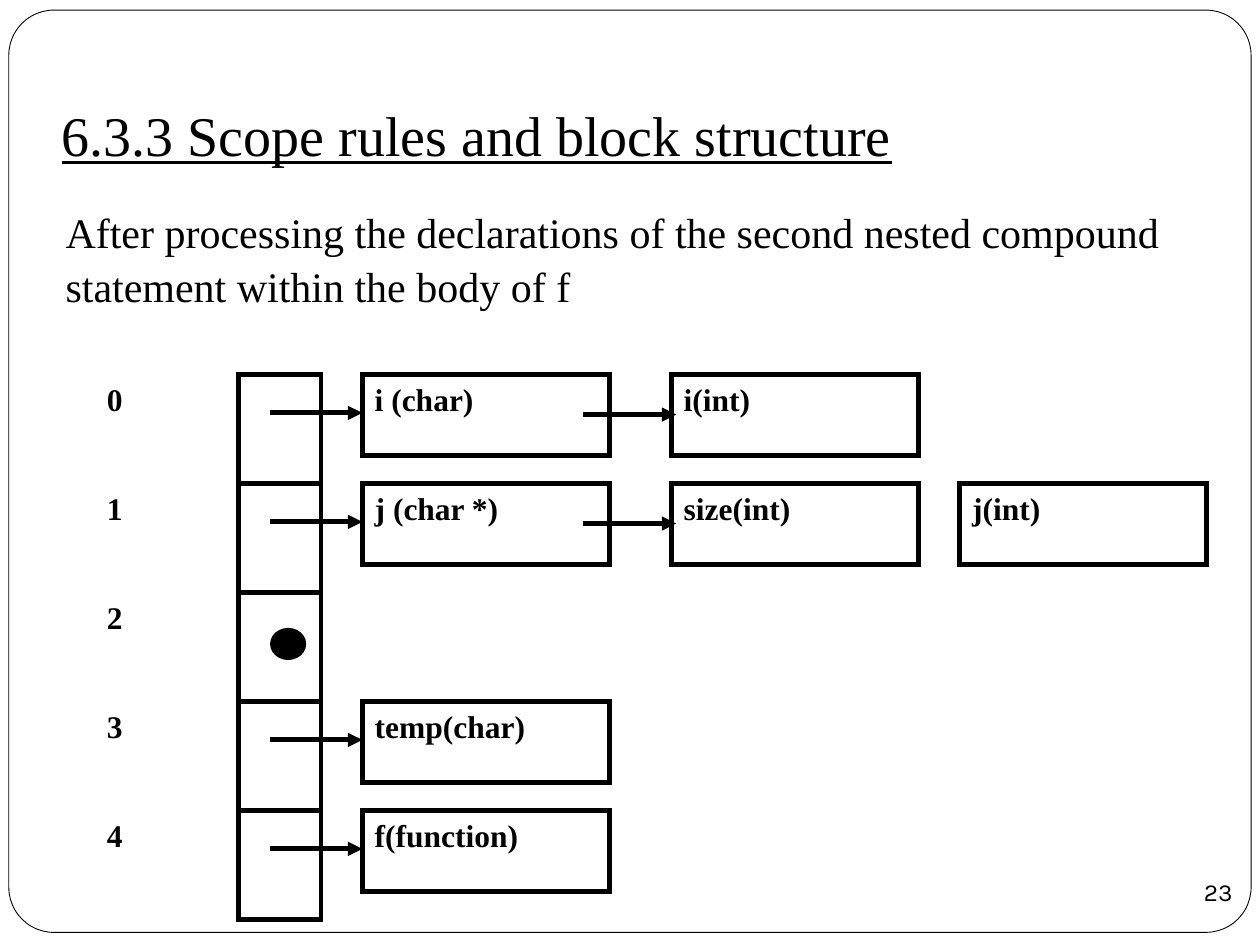
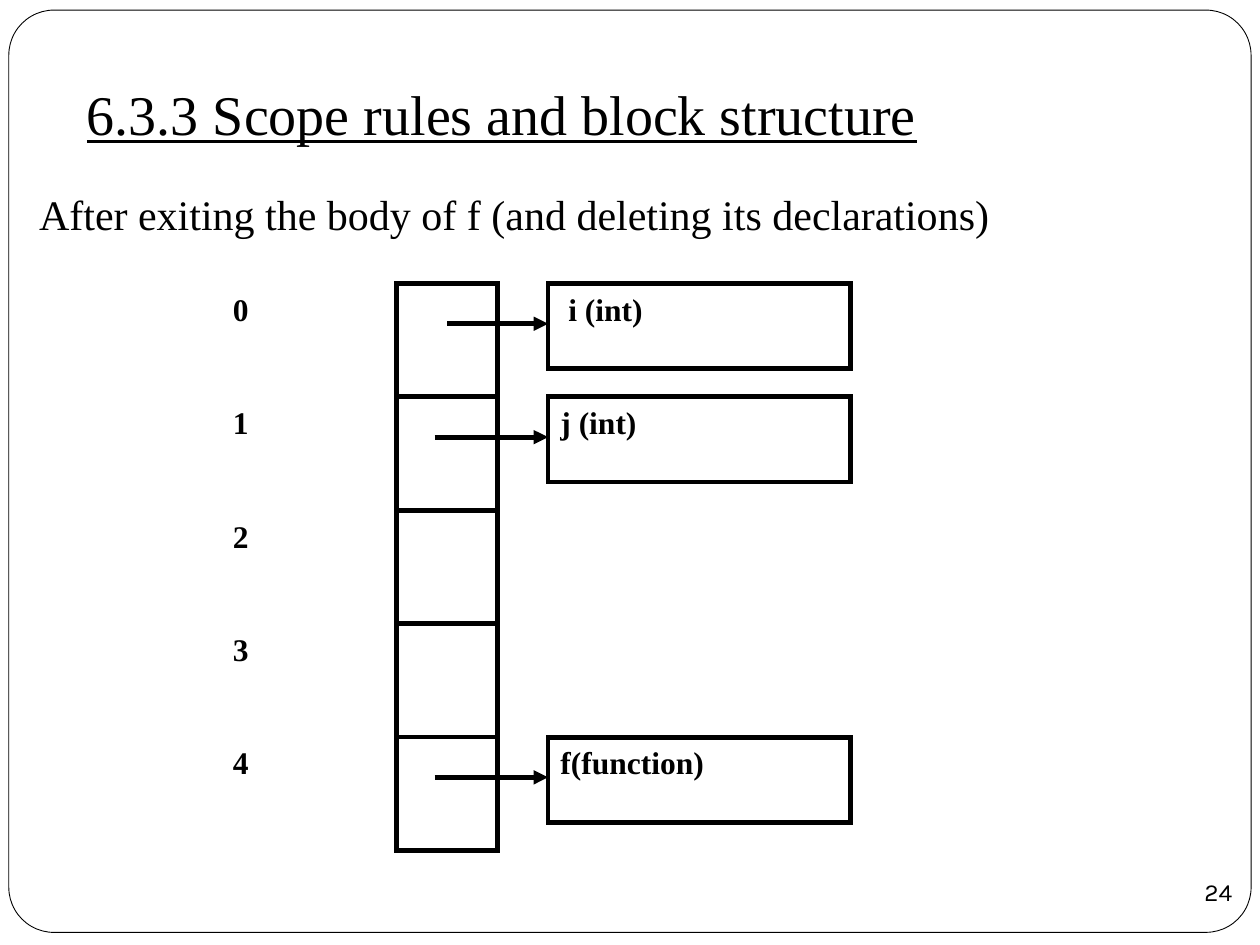
import pptx
import pptx.util
import pptx.dml.color
import pptx.enum.shapes
import pptx.enum.text
import pptx.oxml.ns
import lxml.etree

INK = {"black": "000000", "white": "FFFFFF"}
SERIF, SANS = "Times New Roman", "Karla"
KIND = pptx.enum.shapes.MSO_SHAPE
ANCHOR = pptx.enum.text.MSO_ANCHOR
ALIGN = pptx.enum.text.PP_ALIGN
inch, qn = pptx.util.Inches, pptx.oxml.ns.qn
black = pptx.dml.color.RGBColor.from_string(INK["black"])

# Grid in columns, the same on both slides: number, bucket, then up to three boxes
BUCKET, BOXES, WIDE = 1.75, (3.25, 7, 10.5), 3
# Shares of a row: box height, and the height at which arrows run
TALL, FIRST, NEXT = 0.75, 0.355, 0.37

pages = [
    {"page": "23", "title": "6.3.3 Scope rules and block structure", "head": (0.39, 0.75),
     "text": "After processing the declarations of the second nested compound "
             "statement within the body of f",
     "body": (0.42, 1.72, 9.17, 0.85),
     "left": 0.75, "top": 2.97, "col": 0.654, "row": 0.865,
     "rows": [["i (char)", "i(int)"], ["j (char *)", "size(int)", "j(int)"],
              [], ["temp(char)"], ["f(function)"]],
     "tails": [2.125] * 5, "dots": [2]},
    {"page": "24", "title": "6.3.3 Scope rules and block structure", "head": (0.59, 0.58),
     "text": "After exiting the body of f (and deleting its declarations)",
     "body": (0.21, 1.42, 8.25, 0.58),
     "left": 1.75, "top": 2.25, "col": 0.8, "row": 0.9,
     "rows": [[" i (int)"], ["j (int)"], [], [], ["f(function)"]],
     "tails": [2.25] + [2.125] * 4, "dots": []},
]


def write(shape, text, size, face=SERIF, bold=False, line=False,
          anchor=ANCHOR.TOP, align=ALIGN.LEFT):
    frame = shape.text_frame
    frame.text = text
    frame.word_wrap = True
    frame.auto_size = pptx.enum.text.MSO_AUTO_SIZE.NONE
    frame.vertical_anchor = anchor
    para = frame.paragraphs[0]
    para.alignment, para.space_before = align, 0
    for run in para.runs:
        font = run.font
        font.name, font.size = face, pptx.util.Pt(size)
        font.bold, font.underline = bold, line
        font.color.rgb = black
    return frame


def draw(slide, kind, x, y, w, h, fill="white", width=2.75):
    shape = slide.shapes.add_shape(kind, inch(x), inch(y), inch(w), inch(h))
    shape.shadow.inherit = False
    if fill:
        shape.fill.solid()
        shape.fill.fore_color.rgb = pptx.dml.color.RGBColor.from_string(INK[fill])
        shape.line.color.rgb = black
        shape.line.width = pptx.util.Pt(width)
        edge = shape.element.find(".//" + qn("a:ln"))
        lxml.etree.SubElement(edge, qn("a:miter"), lim="800000")
    else:
        shape.fill.background()
        shape.line.fill.background()
    return shape


deck = pptx.Presentation()
deck.slide_width, deck.slide_height = inch(10), inch(7.5)
layout = deck.slide_layouts[1]

for num, page in enumerate(pages):
    slide = deck.slides.add_slide(layout)

    # Rounded frame, moved once to the back of the shared layout
    if num == 0:
        rim = draw(slide, KIND.ROUNDED_RECTANGLE, 0.07, 0.08, 9.86, 7.32, width=0.5)
        rim.adjustments[0] = 0.049
        layout.placeholders[0].element.addprevious(rim.element)

    # Title and sentence
    title, body = slide.shapes.title, slide.placeholders[1]
    spots = (title, (*page["head"], 7.01, 0.64)), (body, page["body"])
    for shape, spot in spots:
        shape.left, shape.top, shape.width, shape.height = map(inch, spot)
    write(title, page["title"], 32, line=True)
    frame = write(body, page["text"], 24, anchor=ANCHOR.BOTTOM)
    frame.margin_bottom = inch(0.1)
    para = frame.paragraphs[0]
    para.line_spacing = pptx.util.Pt(31)
    props = para.alignment is not None and para.runs[0].font and \
        body.element.find(".//" + qn("a:pPr"))
    props.set("marL", "0")
    props.set("indent", "0")
    lxml.etree.SubElement(props, qn("a:buNone"))

    # Hash table: one row per bucket
    left, col, row = page["left"], page["col"], page["row"]
    for i, names in enumerate(page["rows"]):
        y = page["top"] + i * row
        label = slide.shapes.add_textbox(inch(left), inch(y), inch(col), inch(TALL * row))
        write(label, str(i), 18, bold=True)
        draw(slide, KIND.RECTANGLE, left + BUCKET * col, y, col, row)
        if i in page["dots"]:
            draw(slide, KIND.OVAL, left + 2.16 * col, y + 0.35 * row,
                 0.38 * col, 0.25 * row, "black")
        for name, x in zip(names, BOXES):
            box = draw(slide, KIND.RECTANGLE, left + x * col, y, WIDE * col, TALL * row)
            write(box, name, 18, bold=True)

        # Arrows: bucket to first box, first box to second
        links = [(page["tails"][i], BOXES[0], FIRST), (5.93, 7.06, NEXT)]
        for start, end, share in links[:len(names)]:
            level = inch(y + share * row)
            link = slide.shapes.add_connector(
                pptx.enum.shapes.MSO_CONNECTOR.STRAIGHT,
                inch(left + start * col), level, inch(left + end * col), level)
            link.line.color.rgb = black
            link.line.width = pptx.util.Pt(2.75)
            edge = link.element.find(".//" + qn("a:ln"))
            lxml.etree.SubElement(edge, qn("a:tailEnd"), type="triangle")
            lxml.etree.SubElement(link.element.spPr, qn("a:effectLst"))

    # Page number
    badge = draw(slide, KIND.OVAL, 9.42, 6.83, 0.5, 0.5, fill=None)
    frame = write(badge, page["page"], 14, SANS, anchor=ANCHOR.MIDDLE, align=ALIGN.CENTER)
    frame.margin_left = frame.margin_right = frame.margin_top = frame.margin_bottom = 0
    frame.word_wrap = False

deck.save("out.pptx")
